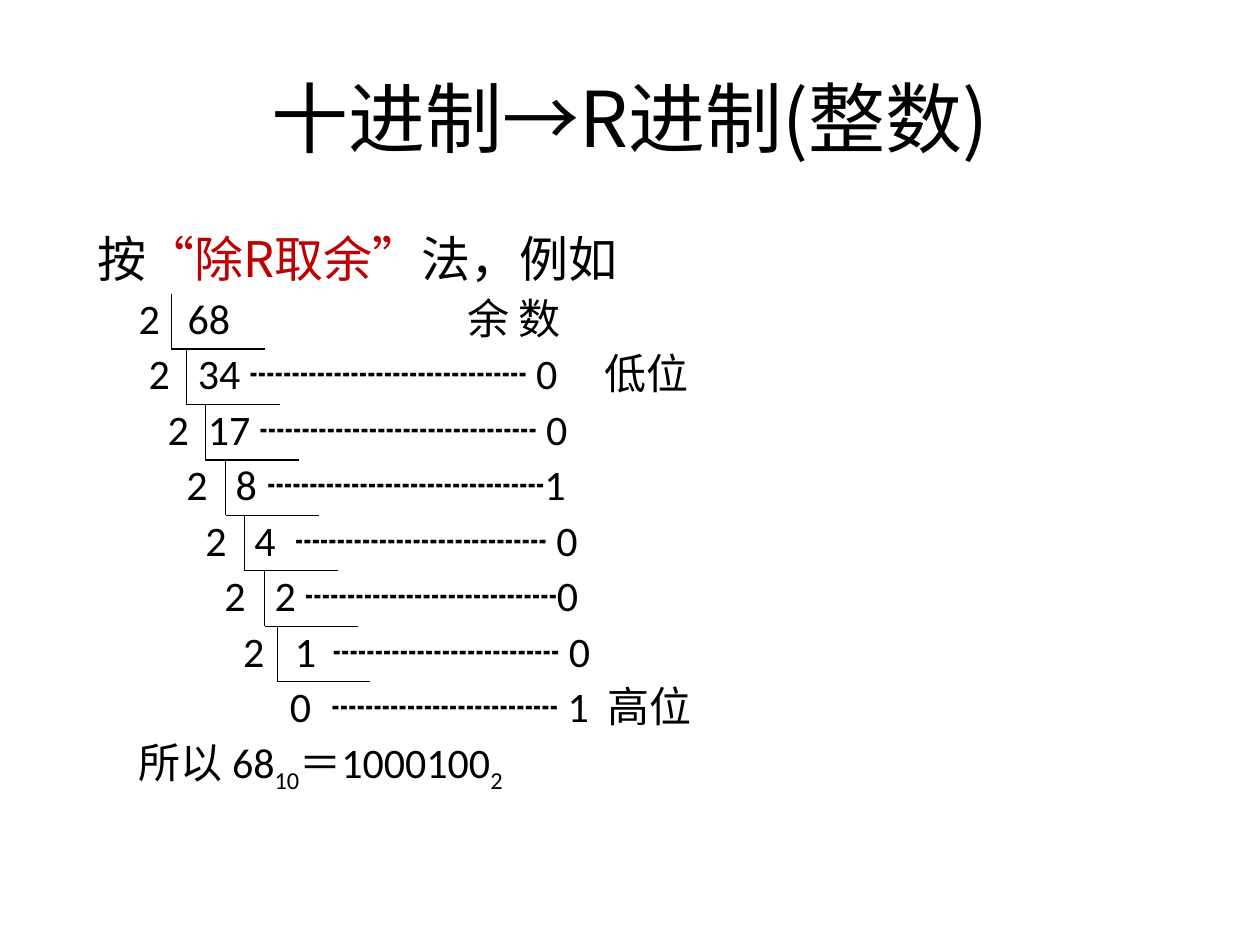
from lxml.etree import SubElement
from pptx import Presentation
from pptx.dml.color import RGBColor
from pptx.enum.shapes import MSO_CONNECTOR
from pptx.enum.text import MSO_ANCHOR, MSO_AUTO_SIZE, PP_ALIGN
from pptx.oxml.ns import qn
from pptx.util import Inches, Pt

BLACK = RGBColor(0x00, 0x00, 0x00)
RED = RGBColor(0xC0, 0x00, 0x00)
LATIN_FONT = "Calibri"
CHINESE_FONT = "Noto Sans CJK SC"
DASH = "┄"

# Division ladder: every row has the same exact height
TEXT_LEFT = 0.6
ROW_TOP = 2.28
ROW_HEIGHT = 0.44
LEAD_HEIGHT = 0.48
RESULT_HEIGHT = 0.5

# Left edge and text of each row, column by column
DIVISORS = [(1.10, "2"), (1.18, "2"), (1.33, "2"), (1.48, "2"),
            (1.63, "2"), (1.78, "2"), (1.93, "2"), (2.30, "0")]
DIVIDENDS = [(1.49, "68"), (1.57, "34"), (1.65, "17"), (1.87, "8"),
             (2.02, "4"), (2.18, "2"), (2.34, "1")]
REMAINDERS = [(3.71, "余 数"),
              (1.98, f"{DASH * 11} 0"),
              (2.06, f"{DASH * 11} 0"),
              (2.12, f"{DASH * 11}1"),
              (2.34, f"{DASH * 10} 0"),
              (2.42, f"{DASH * 10}0"),
              (2.64, f"{DASH * 9} 0"),
              (2.63, f"{DASH * 9} 1")]
LOW_DIGIT_ROW, HIGH_DIGIT_ROW = 1, 7

# Division brackets
BRACKET_LEFTS = [1.36, 1.48, 1.63, 1.79, 1.94, 2.10, 2.20]
BRACKET_TOP = 2.33
BRACKET_WIDTH = 0.74


class SlideBuilder:
    def __init__(self, slide):
        self.slide = slide

    def place(self, shape, left, top, width, height):
        box = {"left": left, "top": top, "width": width, "height": height}
        for name, value in box.items():
            setattr(shape, name, Inches(value))
        shape.text_frame.auto_size = MSO_AUTO_SIZE.NONE

    def run(self, paragraph, text, size, color=BLACK, font=LATIN_FONT, baseline=None):
        run = paragraph.add_run()
        run.text = text
        for name, value in {"name": font, "size": Pt(size)}.items():
            setattr(run.font, name, value)
        run.font.color.rgb = color
        properties = run.font._element
        SubElement(properties, qn("a:ea"), typeface=CHINESE_FONT)
        if baseline:
            properties.set("baseline", str(baseline))

    def title(self, text):
        shape = self.slide.shapes.title
        self.place(shape, 0.5, 0.3, 9, 1.25)
        shape.text_frame.vertical_anchor = MSO_ANCHOR.MIDDLE
        paragraph = shape.text_frame.paragraphs[0]
        paragraph.alignment = PP_ALIGN.CENTER
        self.run(paragraph, text, 44, font=CHINESE_FONT)

    def body(self):
        shape = self.slide.placeholders[1]
        self.place(shape, 0.5, 1.75, 9, 4.95)
        return shape.text_frame

    def format_line(self, paragraph, indent, height, level=0):
        values = {"level": level, "line_spacing": Pt(height * 72),
                  "space_before": Pt(0), "space_after": Pt(0),
                  "alignment": PP_ALIGN.LEFT}
        for name, value in values.items():
            setattr(paragraph, name, value)
        properties = paragraph._p.get_or_add_pPr()
        properties.set("marL", "0")
        properties.set("indent", str(int(Inches(indent))))
        SubElement(properties, qn("a:buNone"))

    def column(self, rows, first_row=0):
        left = min(row_left for row_left, text in rows)
        shape = self.slide.shapes.add_textbox(0, 0, 0, 0)
        self.place(shape, left, ROW_TOP + first_row * ROW_HEIGHT,
                   3.4, len(rows) * ROW_HEIGHT)
        text_frame = shape.text_frame
        text_frame.word_wrap = True
        for side in ("left", "top", "right", "bottom"):
            setattr(text_frame, f"margin_{side}", 0)
        for index, (row_left, text) in enumerate(rows):
            paragraph = text_frame.add_paragraph() if index else text_frame.paragraphs[0]
            self.format_line(paragraph, row_left - left, ROW_HEIGHT)
            self.run(paragraph, text, 24)

    def line(self, group, x1, y1, x2, y2):
        connector = group.shapes.add_connector(
            MSO_CONNECTOR.STRAIGHT, Inches(x1), Inches(y1), Inches(x2), Inches(y2))
        connector.line.color.rgb = BLACK
        connector.line.width = Pt(0.75)
        SubElement(connector._element.spPr, qn("a:effectLst"))

    def bracket(self, group, left, top):
        bottom = top + ROW_HEIGHT
        self.line(group, left, top, left, bottom)
        self.line(group, left, bottom, left + BRACKET_WIDTH, bottom)


def main():
    presentation = Presentation()
    presentation.slide_width = Inches(10)
    presentation.slide_height = Inches(7.5)
    slide = presentation.slides.add_slide(presentation.slide_layouts[1])
    builder = SlideBuilder(slide)

    # Title and lead sentence
    builder.title("十进制→R进制(整数)")
    text_frame = builder.body()
    lead = text_frame.paragraphs[0]
    builder.format_line(lead, 0.17, LEAD_HEIGHT)
    for text, color in [("按", BLACK), ("“除R取余”", RED), ("法，例如", BLACK)]:
        builder.run(lead, text, 28, color, CHINESE_FONT)

    # Divisors, ending with the last quotient
    for left, text in DIVISORS:
        paragraph = text_frame.add_paragraph()
        builder.format_line(paragraph, left - TEXT_LEFT, ROW_HEIGHT, level=1)
        builder.run(paragraph, text, 24)

    # Result with subscript bases
    result = text_frame.add_paragraph()
    builder.format_line(result, 0.5, RESULT_HEIGHT, level=1)
    for text, baseline in [("所以 68", None), ("10", -25000),
                           ("＝1000100", None), ("2", -25000)]:
        builder.run(result, text, 24, baseline=baseline)

    # Dividends, remainders and digit labels
    builder.column(DIVIDENDS)
    builder.column(REMAINDERS)
    builder.column([(4.80, "低位")], LOW_DIGIT_ROW)
    builder.column([(4.82, "高位")], HIGH_DIGIT_ROW)

    # Brackets around the dividends
    group = slide.shapes.add_group_shape()
    for index, left in enumerate(BRACKET_LEFTS):
        builder.bracket(group, left, BRACKET_TOP + index * ROW_HEIGHT)

    presentation.save("out.pptx")


if __name__ == "__main__":
    main()
